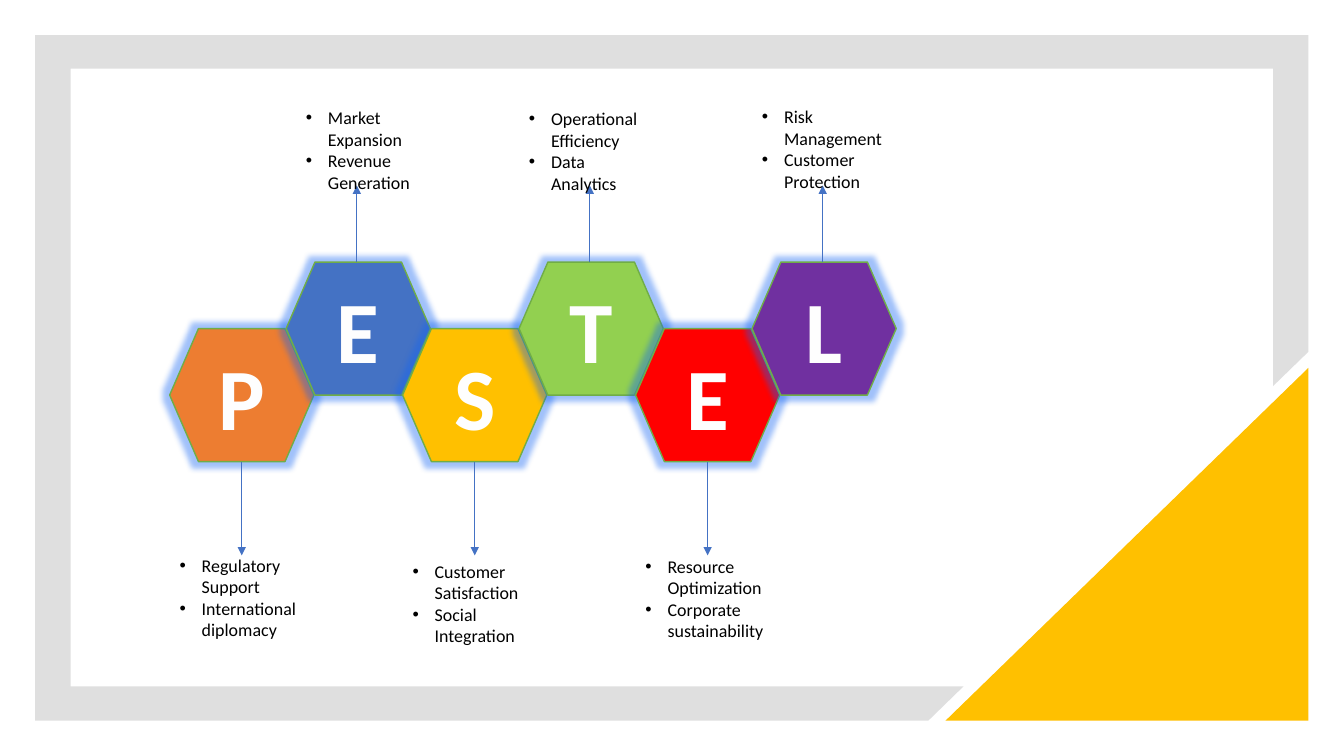
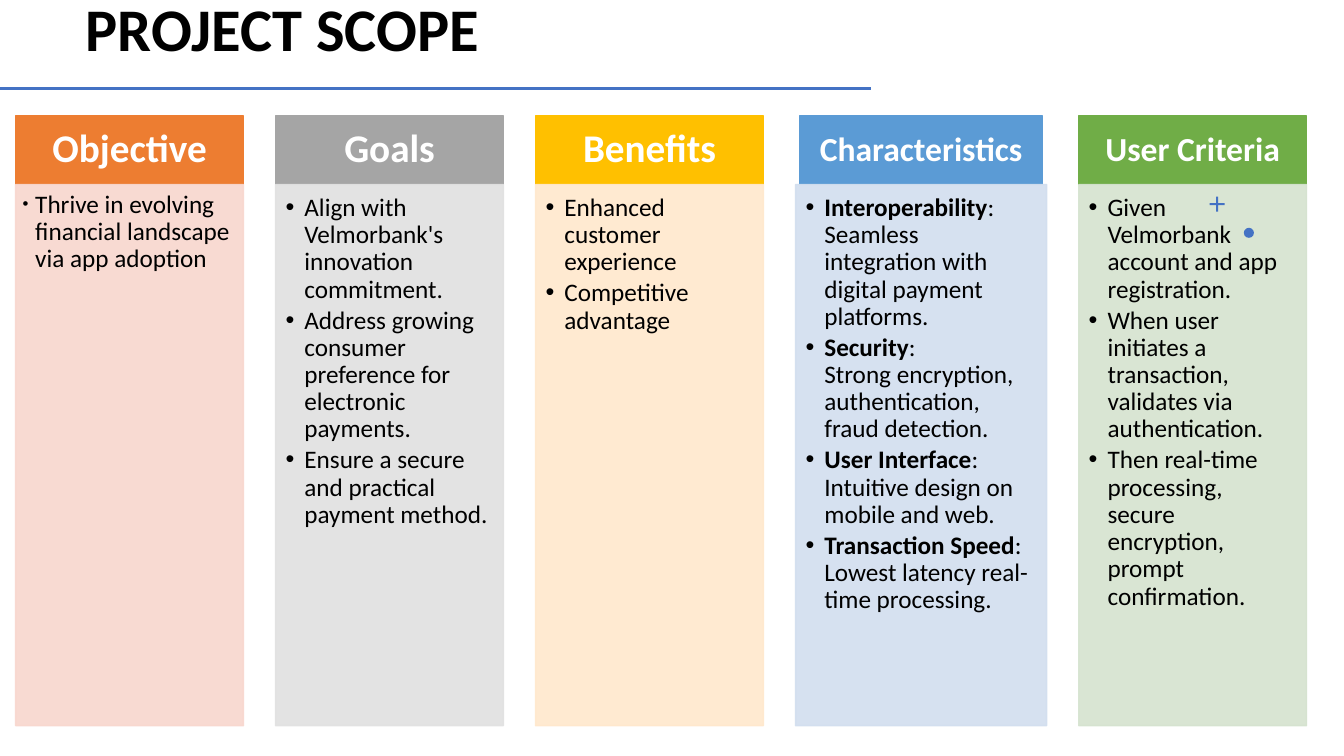
from lxml import etree
from pptx import Presentation
from pptx.dml.color import RGBColor
from pptx.enum.shapes import MSO_CONNECTOR, MSO_SHAPE
from pptx.enum.text import MSO_ANCHOR, MSO_AUTO_SIZE, PP_ALIGN
from pptx.oxml.ns import qn
from pptx.util import Pt

RECT = MSO_SHAPE.RECTANGLE
HEXAGON = MSO_SHAPE.FLOWCHART_PREPARATION
TRIANGLE = MSO_SHAPE.RIGHT_TRIANGLE
CROSS, OVAL = MSO_SHAPE.CROSS, MSO_SHAPE.OVAL
STRAIGHT = MSO_CONNECTOR.STRAIGHT
TOP, MIDDLE, BOTTOM = MSO_ANCHOR.TOP, MSO_ANCHOR.MIDDLE, MSO_ANCHOR.BOTTOM
LEFT, CENTER = PP_ALIGN.LEFT, PP_ALIGN.CENTER
FIT = MSO_AUTO_SIZE.SHAPE_TO_FIT_TEXT

FONT = "Calibri"
BLACK = RGBColor(0x00, 0x00, 0x00)
WHITE = RGBColor(0xFF, 0xFF, 0xFF)
PEARL = RGBColor(0xFE, 0xFE, 0xFE)
GRAY = RGBColor(0x80, 0x80, 0x80)
BLUE = RGBColor(0x44, 0x72, 0xC4)
ORANGE = RGBColor(0xED, 0x7D, 0x31)
GOLD = RGBColor(0xFF, 0xC0, 0x00)
LIME = RGBColor(0x92, 0xD0, 0x50)
RED = RGBColor(0xFF, 0x00, 0x00)
PURPLE = RGBColor(0x70, 0x30, 0xA0)
GREEN = RGBColor(0x70, 0xAD, 0x47)
SILVER = RGBColor(0xA5, 0xA5, 0xA5)
SKY = RGBColor(0x5B, 0x9B, 0xD5)
PALE_ORANGE = RGBColor(0xF8, 0xD7, 0xCE)
PALE_GRAY = RGBColor(0xE1, 0xE1, 0xE1)
PALE_GOLD = RGBColor(0xFF, 0xE8, 0xCC)
PALE_SKY = RGBColor(0xD2, 0xDE, 0xEF)
PALE_GREEN = RGBColor(0xD5, 0xE3, 0xCF)

# letter, fill, label shift, label top, label lines
FACTORS = [
    ("P", ORANGE, 0, 392.4, ["Regulatory Support", "International diplomacy"]),
    ("E", BLUE, 7, 72.7, ["Market Expansion", "Revenue Generation"]),
    ("S", GOLD, 0, 396.7, ["Customer Satisfaction", "Social Integration"]),
    ("T", LIME, 0, 73.4, ["Operational Efficiency", "Data Analytics"]),
    ("E", RED, 0, 393.1, ["Resource Optimization", "Corporate sustainability"]),
    ("L", PURPLE, 0, 72, ["Risk Management", "Customer Protection"]),
]
FRAME = [
    (25.2, 25.2), (934.6, 25.2), (934.6, 251.3), (909.4, 275.8), (909.4, 49),
    (50.4, 49), (50.4, 490.3), (688.3, 490.3), (663.1, 514.8), (25.2, 514.8),
]

# heading, heading size, heading width, body width, fill, body fill, points;
# a point given as a pair has a bold lead
SCOPE = [
    ("Objective", 28, 162.7, 162.7, ORANGE, PALE_ORANGE, [
        "Thrive in evolving financial landscape via app adoption"]),
    ("Goals", 28, 162.7, 162.7, SILVER, PALE_GRAY, [
        "Align with Velmorbank's innovation commitment.",
        "Address growing consumer preference for electronic payments.",
        "Ensure a secure and practical payment method."]),
    ("Benefits", 28, 162.7, 162.7, GOLD, PALE_GOLD, [
        "Enhanced customer experience",
        "Competitive advantage"]),
    ("Characteristics", 24, 173.5, 179.3, SKY, PALE_SKY, [
        ("Interoperability",
         ": Seamless integration with digital payment platforms."),
        ("Security",
         ":\nStrong encryption, authentication, fraud detection."),
        ("User Interface", ": Intuitive design on mobile and web."),
        ("Transaction Speed", ": Lowest latency real-time processing.")]),
    ("User Criteria", 24, 162.7, 162.7, GREEN, PALE_GREEN, [
        "Given Velmorbank account and app registration.",
        "When user initiates a transaction, validates via authentication.",
        "Then real-time processing, secure encryption, prompt confirmation."]),
]


def sub(node, tag, **attrs):
    return etree.SubElement(node, qn(tag), attrs)


def paint(shape, fill, line=None):
    shape.shadow.inherit = False
    shape.fill.solid()
    shape.fill.fore_color.rgb = fill
    if line is None:
        shape.line.fill.background()
    else:
        shape.line.color.rgb = line
        shape.line.width = Pt(1)


def add_form(slide, kind, box, fill, line=None):
    shape = slide.shapes.add_shape(kind, *map(Pt, box))
    paint(shape, fill, line)
    return shape


def fade(shape, percent):
    """Make fill and line partly transparent."""
    for color in shape.element.spPr.iter(qn("a:srgbClr")):
        sub(color, "a:alpha", val=str(percent * 1000))


def add_line(slide, start, end, width, arrow=False):
    line = slide.shapes.add_connector(STRAIGHT, *map(Pt, start + end))
    line.line.color.rgb = BLUE
    line.line.width = Pt(width)
    if arrow:
        sub(line.line._get_or_add_ln(), "a:tailEnd", type="triangle")
    sub(line.element.spPr, "a:effectLst")


def add_run(para, text, size, color, bold=False):
    run = para.add_run()
    run.text = text
    font = run.font
    font.name, font.size, font.bold = FONT, Pt(size), bold
    font.color.rgb = color
    return run


def set_frame(shape, anchor, insets):
    frame = shape.text_frame
    frame.word_wrap = True
    frame.vertical_anchor = anchor
    (frame.margin_left, frame.margin_top,
     frame.margin_right, frame.margin_bottom) = map(Pt, insets)
    return frame


def add_bullets(frame, points, size, indent, dot=100, space=None, after=0):
    for i, point in enumerate(points):
        para = frame.add_paragraph() if i else frame.paragraphs[0]
        props = para._p.get_or_add_pPr()
        props.set("marL", str(Pt(indent)))
        props.set("indent", str(-Pt(indent)))
        sub(props, "a:buSzPct", val=str(dot * 1000))
        sub(props, "a:buFont", typeface="Arial")
        sub(props, "a:buChar", char="•")
        para.alignment = LEFT
        para.line_spacing = space
        para.space_after = Pt(after)
        lead, rest = ("", point) if isinstance(point, str) else point
        if lead:
            add_run(para, lead, size, BLACK, True)
        for j, line in enumerate(rest.split("\n")):
            if j:
                para.add_line_break()
            add_run(para, line, size, BLACK)


def add_glow(shape):
    effects = shape.element.spPr.find(qn("a:effectLst"))
    glow = sub(effects, "a:glow", rad=str(Pt(8)))
    color = sub(glow, "a:srgbClr", val=str(BLUE))
    sub(color, "a:satMod", val="175000")
    sub(color, "a:alpha", val="40000")


def outline(run):
    """Give letters a thin blue edge."""
    props = run._r.get_or_add_rPr()
    props.set("spc", "40")
    edge = etree.Element(qn("a:ln"), w=str(Pt(0.75)))
    sub(sub(edge, "a:solidFill"), "a:srgbClr", val=str(BLUE))
    props.insert(0, edge)


def build_pestel(deck):
    slide = deck.slides.add_slide(deck.slide_layouts[6])
    pen = slide.shapes.build_freeform(*map(Pt, FRAME[0]))
    pen.add_line_segments([(Pt(x), Pt(y)) for x, y in FRAME[1:]])
    border = pen.convert_to_shape()
    paint(border, GRAY)
    fade(border, 25)
    corner = add_form(slide, TRIANGLE, (675.4, 262.8, 259.2, 252), GOLD)
    corner.element.spPr.get_or_add_xfrm().set("flipH", "1")

    left, step, wide, high = 121.2, 83.2, 103, 95
    for i, (letter, fill, _, _, _) in enumerate(FACTORS):
        top = 187.2 if i % 2 else 234.7
        cell = add_form(slide, HEXAGON, (left + i * step, top, wide, high),
                        fill, GREEN)
        add_glow(cell)
        para = set_frame(cell, MIDDLE, (7.2, 3.6, 7.2, 3.6)).paragraphs[0]
        para.alignment = CENTER
        outline(add_run(para, letter, 62.5, PEARL, True))

    for i, (_, _, shift, top, points) in enumerate(FACTORS):
        x = left + i * step
        mid = x + wide / 2
        if i % 2:
            add_line(slide, (mid - 1, 187.2), (mid - 1, 132.5), 0.5, True)
        else:
            add_line(slide, (mid, 329.7), (mid, 396.7), 0.5, True)
        box = slide.shapes.add_textbox(*map(Pt, (x + shift, top, wide, 69)))
        frame = set_frame(box, TOP, (7.2, 3.6, 7.2, 3.6))
        frame.auto_size = FIT
        add_bullets(frame, points, 12.8, 15.8)


def build_scope(deck):
    slide = deck.slides.add_slide(deck.slide_layouts[5])
    title = slide.shapes.title
    title.left, title.top, title.width, title.height = map(
        Pt, (54, 3.6, 487.4, 46))
    para = set_frame(title, BOTTOM, (7.2, 3.6, 7.2, 3.6)).paragraphs[0]
    para.alignment = LEFT
    para.line_spacing = 0.9
    add_run(para, "PROJECT SCOPE", 43.2, BLACK, True)
    add_line(slide, (0, 63.4), (622, 63.4), 2)

    x, gap, top, split, end = 11.2, 23, 82.8, 131.8, 518.4
    for i, (name, size, inner, wide, fill, pale, points) in enumerate(SCOPE):
        head = add_form(slide, RECT,
                        (x + (wide - inner) / 2, top, inner, split - top),
                        fill, fill)
        para = set_frame(head, MIDDLE, (8, 8, 8, 8)).paragraphs[0]
        para.alignment = CENTER
        para.line_spacing = 0.9
        add_run(para, name, size, WHITE, True)

        body = add_form(slide, RECT, (x, split, wide, end - split), pale, pale)
        fade(body, 90)
        if i:
            insets, indent, dot = (7.2, 7.2, 10, 11.5), 13.5, 100
        else:
            insets, indent, dot = (5, 5, 6.5, 7.2), 9, 67
        add_bullets(set_frame(body, TOP, insets), points, 18, indent, dot,
                    0.9, 2.7)
        x += wide + gap

    plus = add_form(slide, CROSS, (864, 140.4, 10.8, 10.8), BLUE)
    plus.adjustments[0] = 0.43
    add_form(slide, OVAL, (888.5, 162.7, 7.2, 7.2), BLUE)


def main():
    deck = Presentation()
    deck.slide_width, deck.slide_height = Pt(960), Pt(540)
    build_pestel(deck)
    build_scope(deck)
    deck.save("out.pptx")


if __name__ == "__main__":
    main()
